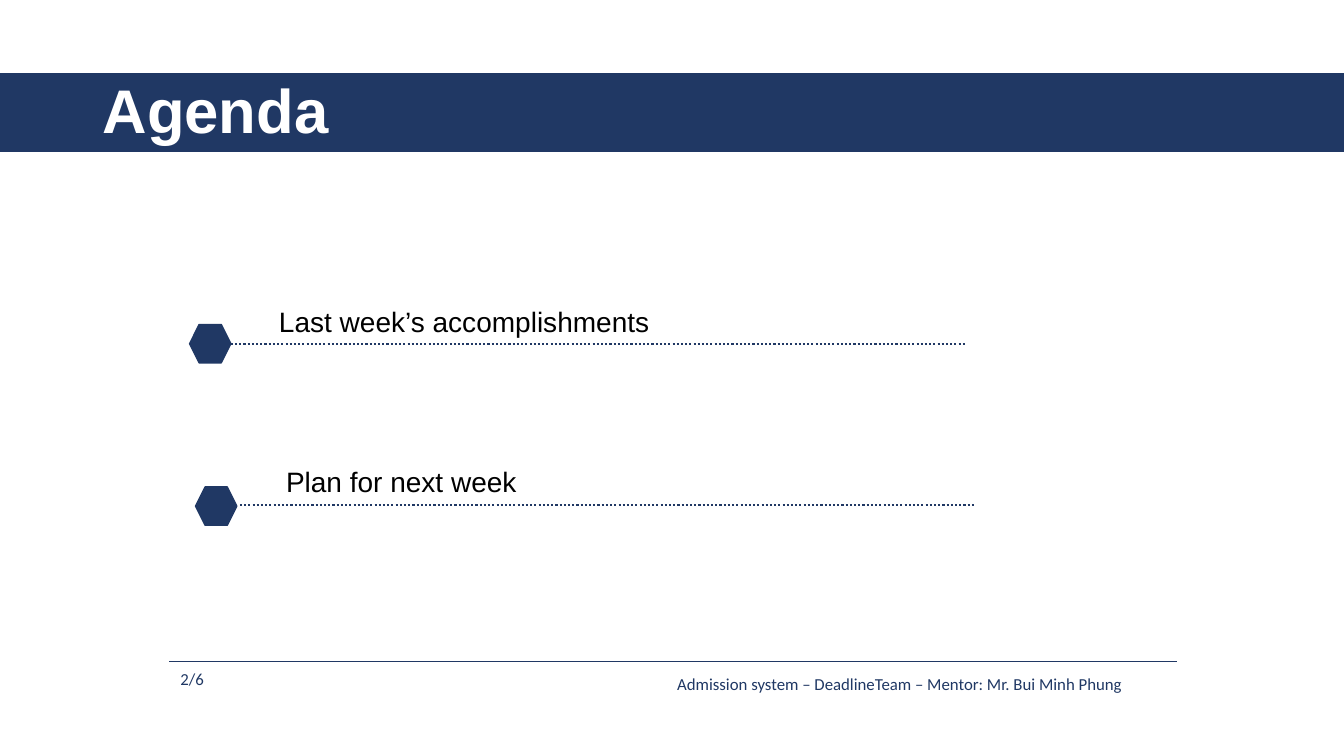
"""Build the agenda slide of a weekly project report."""
from pptx import Presentation
from pptx.dml.color import RGBColor
from pptx.enum.dml import MSO_LINE
from pptx.enum.shapes import MSO_CONNECTOR, MSO_SHAPE
from pptx.enum.text import MSO_ANCHOR
from pptx.oxml.ns import qn
from pptx.util import Pt
from lxml.etree import SubElement

NAVY = RGBColor(0x20, 0x38, 0x64)
WHITE = RGBColor(0xFF, 0xFF, 0xFF)
BLACK = RGBColor(0x00, 0x00, 0x00)

deck = Presentation()
deck.slide_width, deck.slide_height = Pt(960), Pt(540)
slide = deck.slides.add_slide(deck.slide_layouts[6])
shapes = slide.shapes


def add_text(text, left, top, width, height, size, font, color):
    frame = shapes.add_textbox(Pt(left), Pt(top), Pt(width), Pt(height)).text_frame
    frame.word_wrap = True
    paragraph = frame.paragraphs[0]
    paragraph.text = text
    paragraph.font.size = Pt(size)
    paragraph.font.name = font
    paragraph.font.color.rgb = color
    return frame


def add_rule(left, y, width, weight):
    rule = shapes.add_connector(MSO_CONNECTOR.STRAIGHT, Pt(left), Pt(y), Pt(left + width), Pt(y))
    rule.line.color.rgb = NAVY
    rule.line.width = Pt(weight)
    SubElement(rule._element.spPr, qn("a:effectLst"))
    return rule


banner = (MSO_SHAPE.RECTANGLE, 0, 52.6, 960, 55.4)
bullets = [(MSO_SHAPE.HEXAGON, left, top, 29.5, 27.4) for left, top in ((135.4, 231.8), (139.7, 347.8))]
for kind, left, top, width, height in [banner, *bullets]:
    block = shapes.add_shape(kind, Pt(left), Pt(top), Pt(width), Pt(height))
    block.shadow.inherit = False
    block.fill.solid()
    block.fill.fore_color.rgb = NAVY
    block.line.color.rgb = NAVY
    block.line.width = Pt(1)

title = add_text("Agenda", 66.2, 28.8, 828, 104.4, 44, "Arial", WHITE)
title.vertical_anchor = MSO_ANCHOR.MIDDLE
title.paragraphs[0].font.bold = True
title.paragraphs[0].line_spacing = 0.9

agenda = [
    ("Last week’s accomplishments", 192.2, 213.8, 164.9, 245.5),
    ("Plan for next week", 197.2, 328.3, 171.4, 360.7),
]
for topic, text_left, text_top, rule_left, rule_y in agenda:
    add_rule(rule_left, rule_y, 525.6, 1.5).line.dash_style = MSO_LINE.ROUND_DOT
    add_text(topic, text_left, text_top, 290, 31.7, 20, "Arial", BLACK)

add_rule(121, 472.3, 720, 0.5)
add_text("Admission system – DeadlineTeam – Mentor: Mr. Bui Minh Phung",
         476.6, 477.4, 365.8, 21.6, 12, "Calibri", NAVY)
add_text("2/6", 121.7, 473.8, 35.3, 21.6, 12, "Calibri", NAVY)

deck.save("out.pptx")
